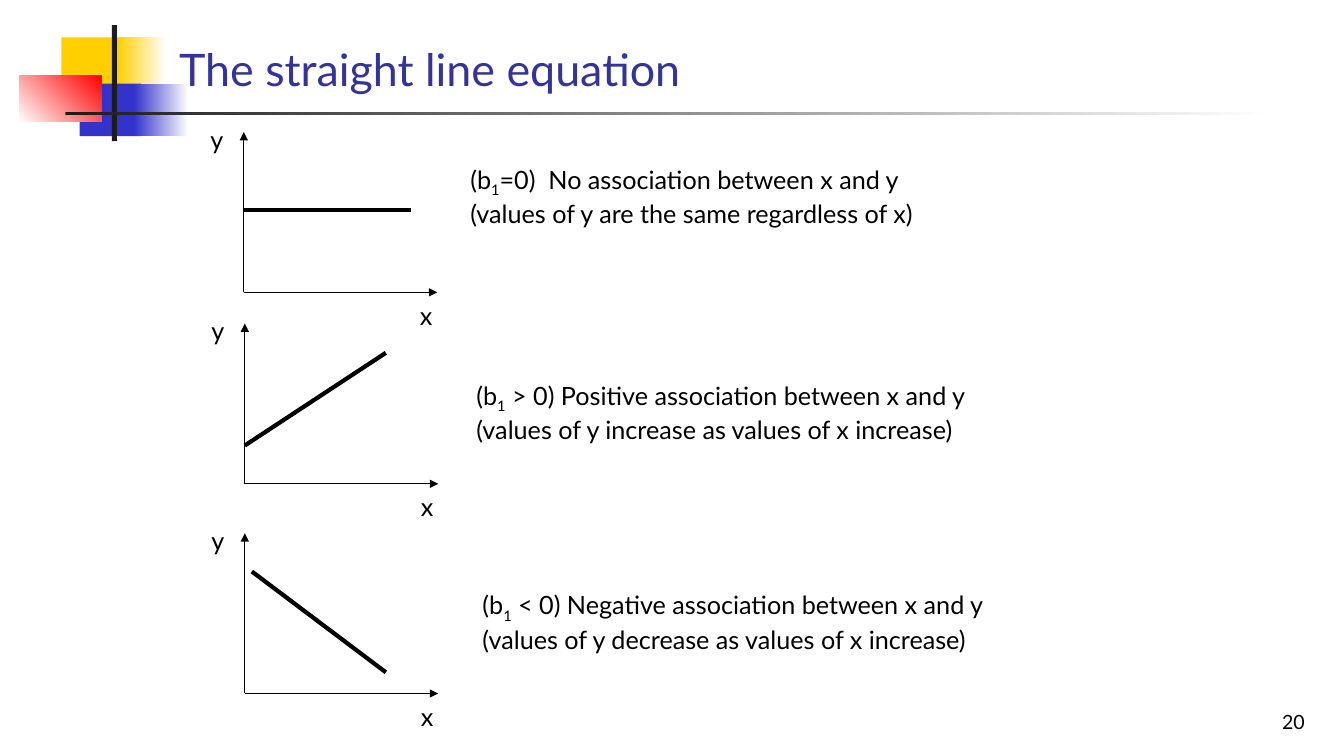
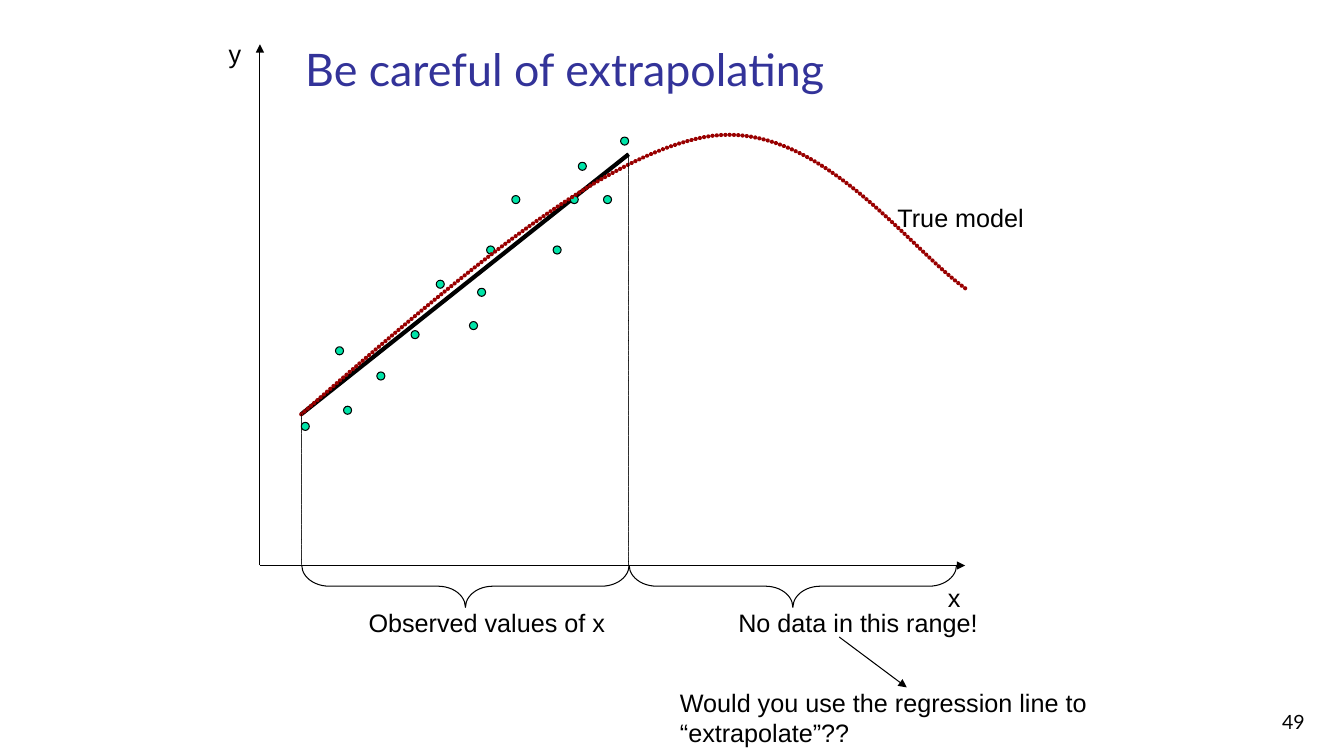
import pptx
import pptx.dml.color
import pptx.enum.shapes
import pptx.enum.text
import pptx.oxml.ns
import pptx.util
from lxml import etree

Inches = pptx.util.Inches
Pt = pptx.util.Pt
RGBColor = pptx.dml.color.RGBColor
MSO_SHAPE = pptx.enum.shapes.MSO_SHAPE
ALIGN = pptx.enum.text.PP_ALIGN
ANCHOR = pptx.enum.text.MSO_ANCHOR
qn = pptx.oxml.ns.qn

BLACK = RGBColor(0x00, 0x00, 0x00)
WHITE = RGBColor(0xFF, 0xFF, 0xFF)
TITLE_BLUE = RGBColor(0x33, 0x33, 0x99)
YELLOW = RGBColor(0xFF, 0xCF, 0x01)
BLUE = RGBColor(0x33, 0x33, 0xCC)
RED = RGBColor(0xFF, 0x00, 0x00)
CHARCOAL = RGBColor(0x1C, 0x1C, 0x1C)
MINT = RGBColor(0x00, 0xE4, 0xA8)
DARK_RED = RGBColor(0x99, 0x00, 0x00)

LABEL = dict(size=18, color=BLACK, wrap=False, anchor=ANCHOR.TOP, align=ALIGN.LEFT)
TITLE = dict(size=32, color=TITLE_BLUE, wrap=True, anchor=ANCHOR.BOTTOM, align=ALIGN.LEFT)
NUMBER = dict(size=14, color=BLACK, wrap=True, anchor=ANCHOR.BOTTOM, align=ALIGN.RIGHT)
NUMBER_AREA = (10.27, 6.83, 2.78, 0.5)


def add_text(page, area, lines, style, font="Lato"):
    """Add a text box; text between a pair of bars is set as subscript."""
    box = page.shapes.add_textbox(*map(Inches, area))
    frame = box.text_frame
    frame.word_wrap = style["wrap"]
    if not style["wrap"]:
        frame.auto_size = pptx.enum.text.MSO_AUTO_SIZE.SHAPE_TO_FIT_TEXT
    frame.vertical_anchor = style["anchor"]
    for index, line in enumerate(lines):
        para = frame.add_paragraph() if index else frame.paragraphs[0]
        para.alignment = style["align"]
        para.font.name = font
        para.font.size = Pt(style["size"])
        para.font.color.rgb = style["color"]
        for position, part in enumerate(line.split("|")):
            span = para.add_run()
            span.text = part
            if position % 2:
                span.font._element.set("baseline", "-25000")


def add_line(page, start, end, width=0.75, arrow=False):
    line = page.shapes.add_connector(
        pptx.enum.shapes.MSO_CONNECTOR.STRAIGHT, *map(Inches, start + end))
    line.line.color.rgb = BLACK
    line.line.width = Pt(width)
    properties = line._element.spPr
    if arrow:
        outline = properties.find(qn("a:ln"))
        etree.SubElement(outline, qn("a:tailEnd"), type="triangle")
    etree.SubElement(properties, qn("a:effectLst"))
    return line


deck = pptx.Presentation()
deck.slide_width = Inches(13.34)
deck.slide_height = Inches(7.5)
blank = deck.slide_layouts[6]

# Slide 20: three signs of the slope
page = deck.slides.add_slide(blank)

ornaments = [
    # left, top, width, height, first colour, last colour, angle
    (0.61, 0.37, 0.64, 0.52, YELLOW, None, 0),
    (1.17, 0.37, 0.48, 0.52, YELLOW, WHITE, 0),
    (0.79, 0.83, 0.61, 0.52, BLUE, None, 0),
    (1.33, 0.83, 0.54, 0.52, BLUE, WHITE, 0),
    (0.19, 0.75, 0.82, 0.46, WHITE, RED, 45),
    (1.11, 0.25, 0.05, 1.15, CHARCOAL, None, 0),
    (0.65, 1.11, 11.99, 0.03, CHARCOAL, WHITE, 0),
]
for *area, first, last, angle in ornaments:
    block = page.shapes.add_shape(MSO_SHAPE.RECTANGLE, *map(Inches, area))
    block.shadow.inherit = False
    block.line.fill.background()
    if last is None:
        block.fill.solid()
        block.fill.fore_color.rgb = first
    else:
        block.fill.gradient()
        block.fill.gradient_angle = angle
        for stop, color in zip(block.fill.gradient_stops, (first, last)):
            stop.color.rgb = color

add_text(page, (1.68, 0.23, 11.36, 0.77), ["The straight line equation"], TITLE)
add_text(page, NUMBER_AREA, ["20"], NUMBER)

plots = [
    # axis origin, line start, line end, caption area, caption
    ((2.42, 2.9), (2.42, 2.08), (4.08, 2.08), (4.57, 1.58, 5.06, 0.74),
     ["(b|1|=0)  No association between x and y",
      "(values of y are the same regardless of x)"]),
    ((2.43, 4.8), (2.43, 4.42), (3.83, 3.5), (4.63, 3.72, 5.41, 0.74),
     ["(b|1| > 0) Positive association between x and y",
      "(values of y increase as values of x increase)"]),
    ((2.43, 6.88), (2.5, 5.67), (3.83, 6.67), (4.69, 5.8, 5.55, 0.74),
     ["(b|1| < 0) Negative association between x and y",
      "(values of y decrease as values of x increase)"]),
]
for (x, y), start, end, caption_area, caption in plots:
    add_line(page, (x, y), (x, y - 1.59), arrow=True)
    add_line(page, (x, y), (x + 1.92, y), arrow=True)
    add_text(page, (x + 1.65, y + 0.03, 0.33, 0.4), ["x"], LABEL)
    add_text(page, (x - 0.43, y - 1.72, 0.33, 0.4), ["y"], LABEL)
    add_line(page, start, end, width=3)
    add_text(page, caption_area, caption, LABEL)

# Slide 49: extrapolation
page = deck.slides.add_slide(blank)
origin = (2.58, 5.61)
fit_start, fit_end = (2.99, 4.11), (6.24, 1.53)
add_line(page, origin, (2.58, 0.44), arrow=True)
add_line(page, origin, (9.58, 5.61), arrow=True)
add_line(page, fit_start, fit_end, width=3)

observations = [
    (2.99, 4.19), (3.33, 3.44), (3.41, 4.03), (3.74, 3.69), (4.08, 3.28),
    (4.33, 2.78), (4.66, 3.19), (4.74, 2.86), (4.83, 2.44), (5.08, 1.94),
    (5.49, 2.44), (5.66, 1.94), (5.74, 1.61), (5.99, 1.94), (6.16, 1.36),
]
for left, top in observations:
    dot = page.shapes.add_shape(
        MSO_SHAPE.OVAL, Inches(left), Inches(top), Inches(0.08), Inches(0.08))
    dot.shadow.inherit = False
    dot.fill.solid()
    dot.fill.fore_color.rgb = MINT
    dot.line.color.rgb = BLACK
    dot.line.width = Pt(0.75)

bezier_segments = [
    (fit_start, (4.44, 2.84), (5.9, 1.57), (6.99, 1.36)),
    ((6.99, 1.36), (8.09, 1.15), (8.99, 2.44), (9.58, 2.86)),
]
STEPS = 40
curve_points = []
for segment in bezier_segments:
    for step in range(1, STEPS + 1):
        t = step / STEPS
        weights = ((1 - t) ** 3, 3 * t * (1 - t) ** 2, 3 * t ** 2 * (1 - t), t ** 3)
        curve_points.append(tuple(
            Inches(sum(w * value for w, value in zip(weights, axis)))
            for axis in zip(*segment)))
builder = page.shapes.build_freeform(*map(Inches, fit_start))
builder.add_line_segments(curve_points, close=False)
true_model = builder.convert_to_shape()
true_model.shadow.inherit = False
true_model.fill.background()
true_model.line.color.rgb = DARK_RED
true_model.line.width = Pt(3)

guides = [add_line(page, (x, y), (x, 5.61)) for x, y in (fit_start, fit_end)]

# Round dots that nearly touch
for dotted in (true_model, *guides):
    outline = dotted._element.spPr.find(qn("a:ln"))
    outline.set("cap", "rnd")
    dashes = etree.SubElement(outline, qn("a:custDash"))
    etree.SubElement(dashes, qn("a:ds"), d="100000", sp="2000")

for left in (4.41, 7.66):
    brace = page.shapes.add_shape(
        MSO_SHAPE.LEFT_BRACE, Inches(left), Inches(4.19), Inches(0.42), Inches(3.25))
    brace.rotation = 270
    brace.adjustments[0] = 0.65
    brace.shadow.inherit = False
    brace.fill.background()
    brace.line.color.rgb = BLACK
    brace.line.width = Pt(0.75)

labels = [
    ((8.81, 1.96, 1.46, 0.4), ["True model"]),
    ((9.31, 5.73, 0.32, 0.4), ["x"]),
    ((2.17, 0.33, 0.32, 0.4), ["y"]),
    ((3.56, 5.98, 2.55, 0.4), ["Observed values of x"]),
    ((7.23, 5.98, 2.7, 0.4), ["No data in this range!"]),
    ((6.65, 6.77, 4.31, 0.7),
     ["Would you use the regression line to", "“extrapolate”??"]),
]
for area, lines in labels:
    add_text(page, area, lines, LABEL, font="Arial")
add_line(page, (8.33, 6.32), (9, 6.82), arrow=True)
add_text(page, NUMBER_AREA, ["49"], NUMBER)
add_text(page, (2.93, 0.23, 8.52, 0.77), ["Be careful of extrapolating"], TITLE)

deck.save("out.pptx")
